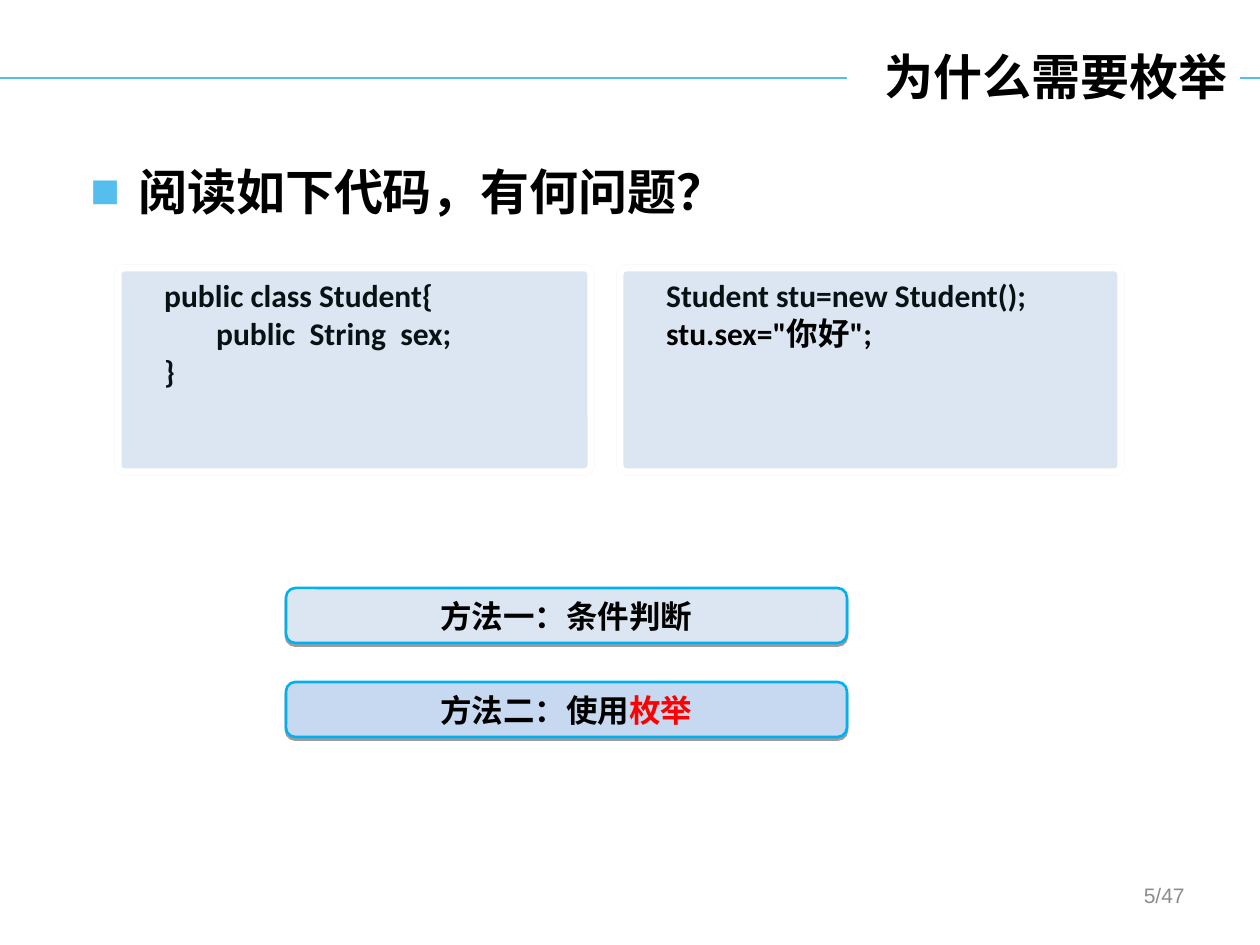
from dataclasses import dataclass

from lxml import etree
from pptx import Presentation
from pptx.dml.color import RGBColor
from pptx.enum.shapes import MSO_CONNECTOR, MSO_SHAPE
from pptx.enum.text import MSO_ANCHOR, PP_ALIGN
from pptx.oxml.ns import qn
from pptx.util import Pt

PX = 914400 // 126
ROUNDED = MSO_SHAPE.ROUNDED_RECTANGLE
TOP, MIDDLE = MSO_ANCHOR.TOP, MSO_ANCHOR.MIDDLE
LEFT, CENTER, RIGHT = PP_ALIGN.LEFT, PP_ALIGN.CENTER, PP_ALIGN.RIGHT


@dataclass(frozen=True)
class Theme:
    heading_font: str = "Noto Sans CJK SC"
    code_font: str = "Calibri"
    number_font: str = "Arial"
    heading_size: int = 28
    text_size: int = 18
    number_size: int = 12
    black: str = "000000"
    white: str = "FFFFFF"
    code: str = "071215"
    accent: str = "56BEEE"
    border: str = "00B0F0"
    pale: str = "DCE6F2"
    blue: str = "C6D9F1"
    red: str = "FF0000"
    gray: str = "8C8C8C"


theme = Theme()


def style(paragraph, font_name, size, color, bold=True, align=LEFT):
    """Format a whole paragraph, with the heading font for Chinese text."""
    paragraph.alignment = align
    font = paragraph.font
    font.name, font.size, font.bold = font_name, Pt(size), bold
    font.color.rgb = RGBColor.from_string(color)
    defaults = paragraph._p.pPr.find(qn("a:defRPr"))
    etree.SubElement(defaults, qn("a:ea"), typeface=theme.heading_font)


def add_card(left, top, width, height, fill, line, line_width, corner, shadow):
    """Add a rounded box; shadow is (opacity percent, distance in points)."""
    card = slide.shapes.add_shape(ROUNDED, *(n * PX for n in (left, top, width, height)))
    card.adjustments[0] = corner
    card.fill.solid()
    card.fill.fore_color.rgb = RGBColor.from_string(fill)
    card.line.color.rgb = RGBColor.from_string(line)
    card.line.width = Pt(line_width)
    card.shadow.inherit = False
    opacity, distance = shadow
    effects = card._element.spPr.find(qn("a:effectLst"))
    outer = etree.SubElement(effects, qn("a:outerShdw"), blurRad="0",
                             dist=str(Pt(distance)), dir="5400000", rotWithShape="0")
    shade = etree.SubElement(outer, qn("a:srgbClr"), val=theme.black)
    etree.SubElement(shade, qn("a:alpha"), val=str(opacity * 1000))
    card.text_frame.word_wrap = True
    return card


prs = Presentation()
prs.slide_width, prs.slide_height = 1260 * PX, 945 * PX
slide = prs.slides.add_slide(prs.slide_layouts[5])

# Title over its rule
title = slide.shapes.title
title.left, title.top, title.width, title.height = (n * PX for n in (847, 37, 393, 78))
title.fill.solid()
title.fill.fore_color.rgb = RGBColor.from_string(theme.white)
title.text_frame.text = "为什么需要枚举"
title.text_frame.vertical_anchor = MIDDLE
style(title.text_frame.paragraphs[0], theme.heading_font, theme.heading_size,
      theme.black, align=RIGHT)

rule = slide.shapes.add_connector(MSO_CONNECTOR.STRAIGHT, 0, 78 * PX, 1260 * PX, 78 * PX)
rule.line.color.rgb = RGBColor.from_string(theme.accent)
rule.line.width = Pt(1.5)
etree.SubElement(rule._element.spPr, qn("a:effectLst"))
slide.shapes._spTree.insert(2, rule._element)  # behind the title

# Question with a square bullet
question = slide.shapes.add_textbox(*(n * PX for n in (78, 155, 1113, 111))).text_frame
question.word_wrap = True
question.text = "阅读如下代码，有何问题？"
bulleted = question.paragraphs[0]
style(bulleted, theme.heading_font, theme.heading_size, theme.black)
properties = bulleted._p.pPr
properties.set("marL", str(48 * PX))
properties.set("indent", str(-48 * PX))
bullet_color = etree.Element(qn("a:buClr"))
etree.SubElement(bullet_color, qn("a:srgbClr"), val=theme.accent)
bullet_font = etree.Element(qn("a:buFont"), typeface=theme.number_font)
bullet_char = etree.Element(qn("a:buChar"), char="■")
for position, part in enumerate((bullet_color, bullet_font, bullet_char)):
    properties.insert(position, part)

# Code panels: each line is (text, indent, colour)
code_panels = [
    (118, 473, [("public class Student{", 32, theme.code),
                ("public  String  sex;", 84, theme.code),
                ("}", 32, theme.code)]),
    (620, 501, [("Student stu=new Student();", 32, theme.code),
                ("stu.sex=\"你好\";", 32, theme.black)]),
]
for left, width, code_lines in code_panels:
    panel = add_card(left, 268, width, 204, theme.pale, theme.white, 4, 0.03, (9, 0))
    code = panel.text_frame
    code.vertical_anchor = TOP
    code.text = "\n".join(text for text, _, _ in code_lines)
    for paragraph, (_, indent, color) in zip(code.paragraphs, code_lines):
        style(paragraph, theme.code_font, theme.text_size, color)
        paragraph._p.pPr.set("marL", str(indent * PX))

# Two methods
methods = [
    (588, theme.pale, "方法一：条件判断", ""),
    (682, theme.blue, "方法二：使用", "枚举"),
]
for top, fill, text, keyword in methods:
    method = add_card(286, top, 561, 55, fill, theme.border, 1.5, 0.17, (39, 1.5))
    method.text_frame.vertical_anchor = MIDDLE
    method.text_frame.text = text
    label = method.text_frame.paragraphs[0]
    style(label, theme.code_font, theme.text_size, theme.black, align=CENTER)
    if keyword:
        highlight = label.add_run()
        highlight.text = keyword
        highlight.font.color.rgb = RGBColor.from_string(theme.red)

# Page number
page_number = slide.shapes.add_textbox(*(n * PX for n in (903, 876, 294, 50))).text_frame
page_number.word_wrap = True
page_number.text = "5/47"
style(page_number.paragraphs[0], theme.number_font, theme.number_size, theme.gray,
      bold=False, align=RIGHT)

prs.save("out.pptx")
